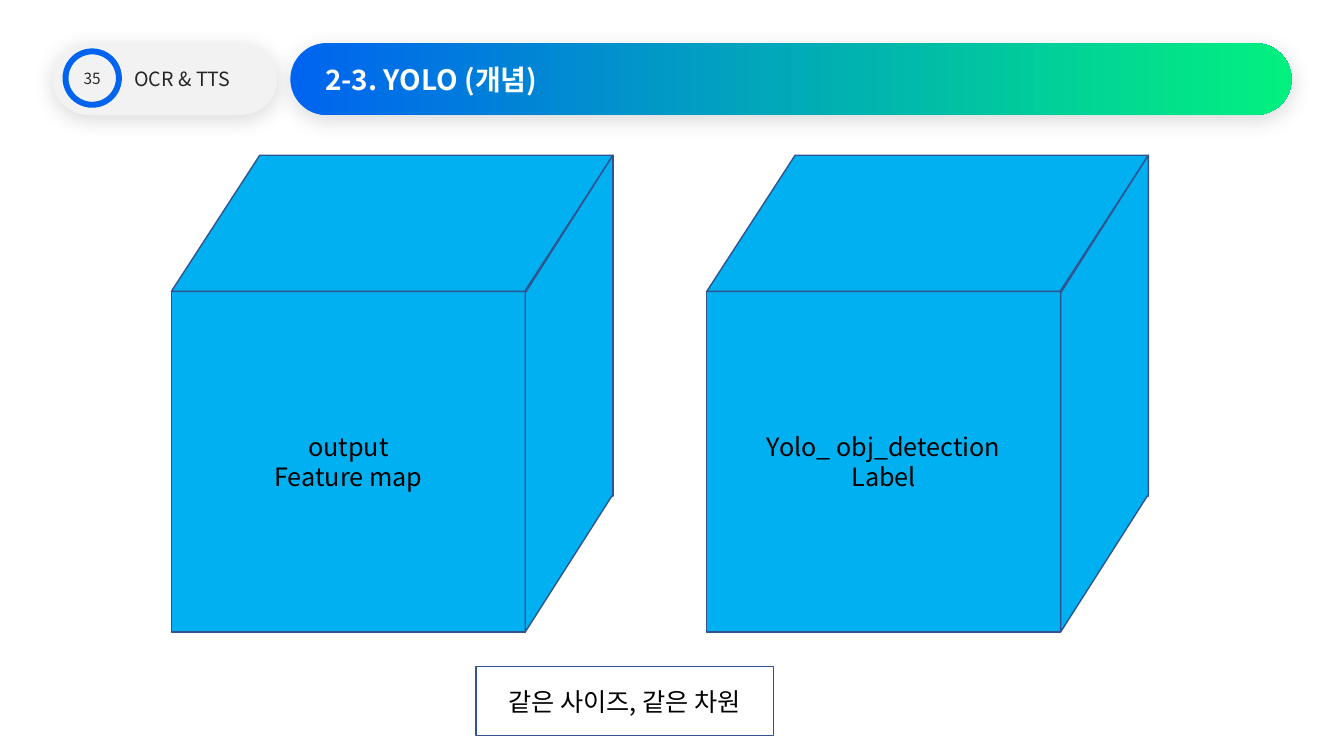
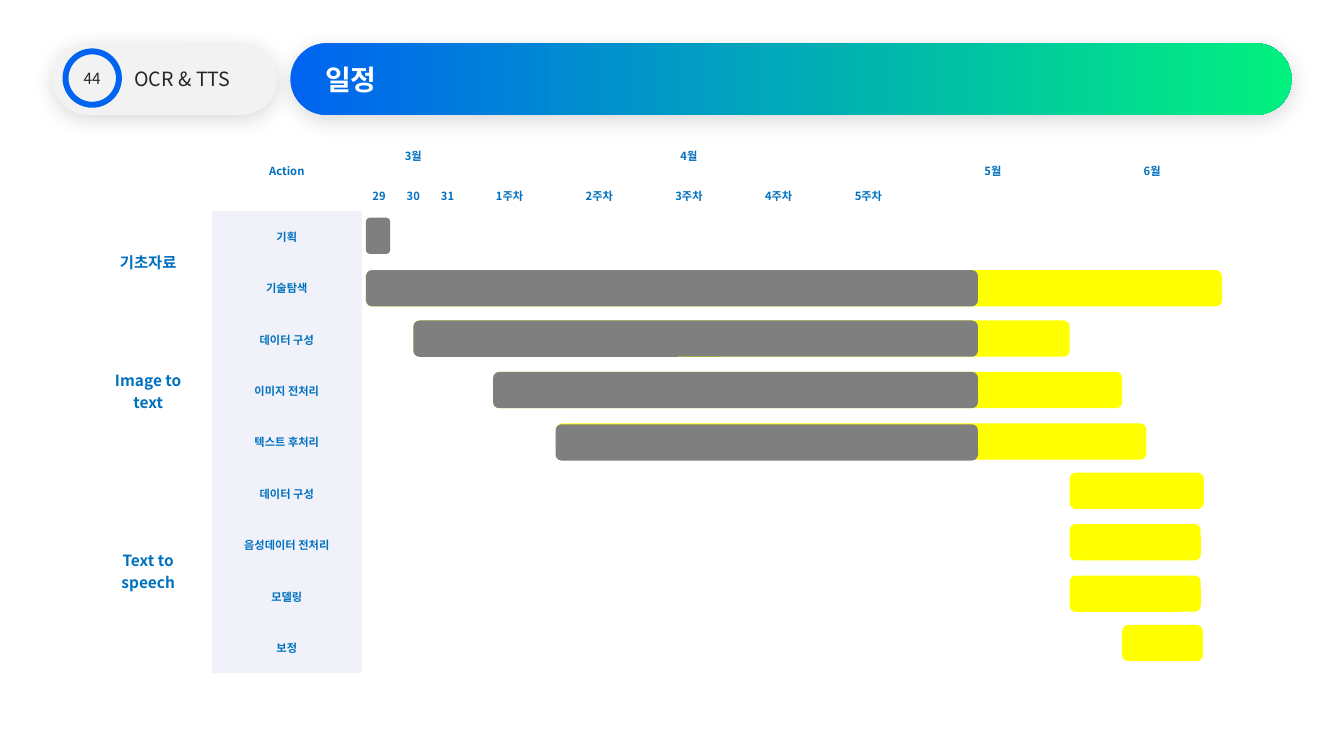
from itertools import accumulate

from lxml import etree
from pptx import Presentation
from pptx import util as u
from pptx.dml.color import RGBColor
from pptx.enum import shapes, text
from pptx.oxml import ns

WIDTH, HEIGHT = 13.33, 7.5
FONT = "Noto Sans CJK KR"
BLUE, GREEN, PALE, INK = "0064F0", "02F07F", "F2F2F2", "262626"
CUBE, EDGE, BLACK, WHITE = "00B0F0", "31538F", "000000", "FFFFFF"
LABEL, ACTION, PLANNED, DONE = "0070C0", "F1F2F9", "FFFF00", "7F7F7F"

SECTION = "OCR & TTS"
CONCEPT = ("35", "2-3. YOLO (개념)")
SCHEDULE = ("44", "일정")
CUBES = [(1.7, "output\nFeature map"), (7.01, "Yolo_ obj_detection\nLabel")]
CAPTION = "같은 사이즈, 같은 차원"

MONTHS = [("3월", 2, 1, 3), ("4월", 5, 1, 5), ("5월", 10, 2, 1), ("6월", 11, 2, 1)]
WEEKS = ["29", "30", "31", "1주차", "2주차", "3주차", "4주차", "5주차"]
GROUPS = [
    ("기초자료", ["기획", "기술탐색"]),
    ("Image to\ntext", ["데이터 구성", "이미지 전처리", "텍스트 후처리"]),
    ("Text to\nspeech", ["데이터 구성", "음성데이터 전처리", "모델링", "보정"]),
]
COLUMNS = [1.26, 1.49] + [0.34] * 3 + [0.89] * 5 + [1.58] * 2
ROWS = [0.5, 0.3] + [0.51] * 9
TODAY, BAR = 9.7, 0.36
PLANNED_BARS = [
    (2.68, 3.63, 12.12), (3.18, 4.1, 10.61), (3.69, 4.89, 11.13),
    (4.2, 5.52, 11.37), (4.69, 10.61, 11.94), (5.2, 10.61, 11.91),
    (5.71, 10.61, 11.91), (6.2, 11.13, 11.93),
]
DONE_BARS = [
    (2.16, 3.63, 3.87), (2.68, 3.63, TODAY), (3.18, 4.1, TODAY),
    (3.69, 4.89, TODAY), (4.21, 5.51, TODAY),
]
KINDS = shapes.MSO_SHAPE


def color(value):
    return RGBColor.from_string(value)


def apply(target, **formats):
    for name, value in formats.items():
        setattr(target, name, value)


def write(frame, content, size, ink, bold=False, align=text.PP_ALIGN.CENTER):
    for index, line in enumerate(content.split("\n")):
        para = frame.add_paragraph() if index else frame.paragraphs[0]
        para.alignment = align
        span = para.add_run()
        span.text = line
        apply(span.font, size=u.Pt(size), bold=bold, name=FONT)
        span.font.color.rgb = color(ink)
        east = etree.SubElement(span.font._element, ns.qn("a:ea"))
        east.set("typeface", FONT)


def add_box(page, kind, at, fill=None, line=None, weight=1):
    box = page.shapes.add_shape(kind, *map(u.Inches, at))
    box.shadow.inherit = False
    if fill:
        box.fill.solid()
        box.fill.fore_color.rgb = color(fill)
    else:
        box.fill.background()
    if line:
        box.line.color.rgb = color(line)
        box.line.width = u.Pt(weight)
    else:
        box.line.fill.background()
    apply(box.text_frame, vertical_anchor=text.MSO_ANCHOR.MIDDLE, word_wrap=True)
    return box


def add_shadow(box):
    effects = box._element.spPr.find(ns.qn("a:effectLst"))
    shadow = etree.SubElement(effects, ns.qn("a:outerShdw"))
    for name, value in {"blurRad": u.Pt(15), "dist": u.Pt(3), "dir": 90 * 60000,
                        "algn": "t", "rotWithShape": 0}.items():
        shadow.set(name, str(value))
    tint = etree.SubElement(shadow, ns.qn("a:srgbClr"), val=BLACK)
    etree.SubElement(tint, ns.qn("a:alpha"), val="14000")


def add_pill(page, left, width, inset, content, size, ink, bold=False):
    pill = add_box(page, KINDS.ROUNDED_RECTANGLE, (left, 0.43, width, 0.71), PALE)
    pill.adjustments[0] = 0.5
    add_shadow(pill)
    pill.text_frame.margin_left = u.Inches(inset)
    write(pill.text_frame, content, size, ink, bold, text.PP_ALIGN.LEFT)
    return pill


def add_page(deck, number, title):
    page = deck.slides.add_slide(deck.slide_layouts[6])
    add_pill(page, 0.52, 2.23, 0.71, SECTION, 14, INK)
    badge = add_box(page, KINDS.OVAL, (0.65, 0.51, 0.53, 0.53), None, BLUE, 4.25)
    apply(badge.text_frame, margin_left=0, margin_right=0)
    write(badge.text_frame, number, 11, INK)
    band = add_pill(page, 2.88, 9.93, 0.24, title, 20, WHITE, True)
    band.fill.gradient()
    band.fill.gradient_angle = 0
    for stop, place, tint in zip(band.fill.gradient_stops, (0, 1), (BLUE, GREEN)):
        stop.position = place
        stop.color.rgb = color(tint)
    return page


def add_cube(page, left, content):
    top, face, depth, rise, side = 1.54, 3.51, 0.87, 1.35, 3.38
    height = rise + side
    add_box(page, KINDS.RECTANGLE, (left + face + depth - side, top, side, side), CUBE, EDGE)
    front = add_box(page, KINDS.RECTANGLE, (left, top + rise, face, side), CUBE, EDGE)
    write(front.text_frame, content, 18, BLACK)
    add_box(page, KINDS.FLOWCHART_DATA, (left, top, face + depth, rise), CUBE, EDGE)
    middle = left + face + depth / 2
    flank = add_box(page, KINDS.PARALLELOGRAM,
                    (middle - height / 2, top + (height - depth) / 2, height, depth),
                    CUBE, EDGE)
    flank.adjustments[0] = 1.57
    flank.rotation = 90
    flank._element.spPr.xfrm.set("flipH", "1")


def add_schedule(page):
    at = (0.84, 1.29, sum(COLUMNS), sum(ROWS))
    frame = page.shapes.add_table(len(ROWS), len(COLUMNS), *map(u.Inches, at))
    table = frame.table
    apply(table, first_row=False, horz_banding=False)
    style = table._tbl.tblPr.find(ns.qn("a:tableStyleId"))
    style.text = "{2D5ABB26-0587-4C30-8999-92F81FD0307C}"
    for column, width in zip(table.columns, COLUMNS):
        column.width = u.Inches(width)
    for row, height in zip(table.rows, ROWS):
        row.height = u.Inches(height)

    entries = [(0, 0, 2, 1, "", 8), (0, 1, 2, 1, "Action", 8)]
    entries += [(0, column, down, across, name, 8) for name, column, down, across in MONTHS]
    entries += [(1, column, 1, 1, name, 8) for column, name in enumerate(WEEKS, 2)]
    starts = accumulate((len(actions) for _, actions in GROUPS), initial=2)
    for start, (group, actions) in zip(starts, GROUPS):
        entries.append((start, 0, len(actions), 1, group, 11))
        for row, action in enumerate(actions, start):
            entries += [(row, 1, 1, 1, action, 8), (row, 2, 1, 3, "", 8)]
    wording = {(row, column): (name, size) for row, column, _, _, name, size in entries}

    for row in range(len(ROWS)):
        for column in range(len(COLUMNS)):
            cell = table.cell(row, column)
            apply(cell, margin_left=0, margin_right=0, margin_top=0, margin_bottom=0,
                  vertical_anchor=text.MSO_ANCHOR.MIDDLE)
            if row > 1 and column:
                cell.fill.solid()
                cell.fill.fore_color.rgb = color(ACTION if column == 1 else WHITE)
            else:
                cell.fill.background()
            name, size = wording.get((row, column), ("", 8))
            if name:
                write(cell.text_frame, name, size, LABEL, True)
            else:
                para = cell.text_frame.paragraphs[0]
                etree.SubElement(para._p, ns.qn("a:endParaRPr"), sz="800")
    for row, column, down, across, _, _ in entries:
        if down * across > 1:
            last = table.cell(row + down - 1, column + across - 1)
            table.cell(row, column).merge(last)


def main():
    deck = Presentation()
    apply(deck, slide_width=u.Inches(WIDTH), slide_height=u.Inches(HEIGHT))

    page = add_page(deck, *CONCEPT)
    for left, content in CUBES:
        add_cube(page, left, content)
    caption = add_box(page, KINDS.RECTANGLE, (4.72, 6.61, 2.95, 0.69), None, EDGE)
    write(caption.text_frame, CAPTION, 18, BLACK)

    page = add_page(deck, *SCHEDULE)
    add_schedule(page)
    for bars, tint in ((PLANNED_BARS, PLANNED), (DONE_BARS, DONE)):
        for top, left, right in bars:
            add_box(page, KINDS.ROUNDED_RECTANGLE, (left, top, right - left, BAR), tint)

    deck.save("out.pptx")


if __name__ == "__main__":
    main()
